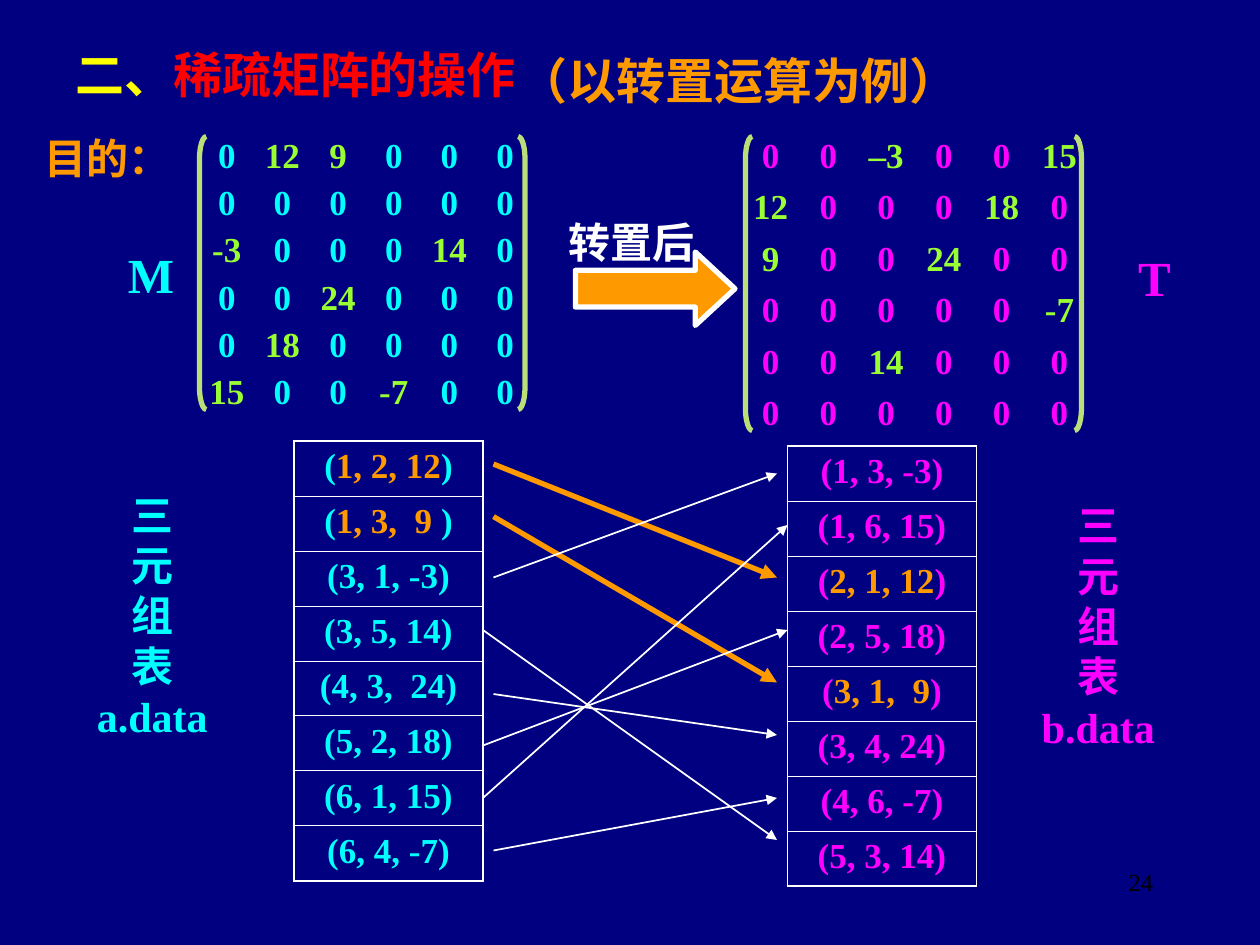
from lxml.etree import SubElement
from pptx import Presentation
from pptx.dml.color import RGBColor
from pptx.enum.shapes import MSO_CONNECTOR as Connector, MSO_SHAPE as Shape
from pptx.enum.text import MSO_ANCHOR as Anchor, PP_ALIGN as Align
from pptx.oxml.ns import qn
from pptx.util import Inches, Pt

COLORS = {
    "navy": "000080", "yellow": "FFFF00", "red": "FF0000", "orange": "FF9900",
    "cyan": "00FFFF", "magenta": "FF00FF", "lime": "99FF33", "moss": "BADE78",
    "white": "FFFFFF", "black": "000000",
}
RGB = {name: RGBColor.from_string(code) for name, code in COLORS.items()}
SERIF, CJK = "Times New Roman", "Noto Sans CJK SC"

prs = Presentation()
prs.slide_width, prs.slide_height = Inches(10), Inches(7.5)
CELL = prs.slide_width / 120  # the slide is a grid of 120 columns by 90 rows


def grid(*counts):
    return [round(count * CELL) for count in counts]


def write(frame, *lines, color="white", size=20, font=SERIF, bold=True,
          align=Align.LEFT, anchor=Anchor.TOP, tabs=()):
    """Fill a text frame; a line is a string or a list of (text, colour) runs."""
    frame.word_wrap = True
    frame.vertical_anchor = anchor
    for number, line in enumerate(lines):
        para = frame.add_paragraph() if number else frame.paragraphs[0]
        para.alignment = align
        if tabs:
            stops = SubElement(para._p.get_or_add_pPr(), qn("a:tabLst"))
            for stop in tabs:
                SubElement(stops, qn("a:tab"), pos=str(stop), algn="ctr")
        for text, run_color in [(line, color)] if isinstance(line, str) else line:
            run = para.add_run()
            run.text = text
            run.font.name, run.font.size, run.font.bold = font, Pt(size), bold
            run.font.color.rgb = RGB[run_color]
            SubElement(run._r.get_or_add_rPr(), qn("a:ea"), typeface=CJK)


slide = prs.slides.add_slide(prs.slide_layouts[6])
slide.background.fill.solid()
slide.background.fill.fore_color.rgb = RGB["navy"]
shapes = slide.shapes

# Matrices: left, right, bottom, first column centre, column step, row step
matrices = [
    ("cyan", 19, 50, 39, 2.6, 5.3, 4.5,
     ["0 12 9 0 0 0", "0 0 0 0 0 0", "-3 0 0 0 14 0",
      "0 0 24 0 0 0", "0 18 0 0 0 0", "15 0 0 -7 0 0"]),
    ("magenta", 71, 103, 41, 2.4, 5.5, 4.9,
     ["0 0 –3 0 0 15", "12 0 0 0 18 0", "9 0 0 24 0 0",
      "0 0 0 0 0 -7", "0 0 14 0 0 0", "0 0 0 0 0 0"]),
]
MATRIX_TOP, BRACKET_WIDTH = 13, 0.65
for color, left, right, bottom, first, col_step, row_step, rows in matrices:
    for kind, x in [(Shape.LEFT_BRACKET, left),
                    (Shape.RIGHT_BRACKET, right - BRACKET_WIDTH)]:
        bracket = shapes.add_shape(
            kind, *grid(x, MATRIX_TOP, BRACKET_WIDTH, bottom - MATRIX_TOP))
        bracket.adjustments[0] = 3.3
        bracket.shadow.inherit = False
        bracket.fill.background()
        bracket.line.color.rgb = RGB["moss"]
        bracket.line.width = Pt(3)
    centres = grid(*(first + col_step * col for col in range(6)))
    for number, row in enumerate(rows):
        entries = shapes.add_textbox(
            *grid(left, MATRIX_TOP + row_step * number, right - left + 2, 3.4)).text_frame
        entries.margin_left = entries.margin_right = 0
        runs = [("\t" + value, color if value == "0" else "lime") for value in row.split()]
        write(entries, runs, anchor=Anchor.MIDDLE, tabs=centres)

# Triple tables: the part between bars is highlighted
tables = [
    ("cyan", 28, 42,
     ["(|1, 2, 12|)", "(|1, 3,  9|\u0020)", "(3, 1, -3)", "(3, 5, 14)",
      "(4, 3,  24)", "(5, 2, 18)", "(6, 1, 15)", "(6, 4, -7)"]),
    ("magenta", 75, 42.5,
     ["(1, 3, -3)", "(1, 6, 15)", "(|2, 1, 12|)", "(2, 5, 18)",
      "(|3, 1,  9|)", "(3, 4, 24)", "(4, 6, -7)", "(5, 3, 14)"]),
]
for color, left, top, triples in tables:
    table = shapes.add_table(len(triples), 1, *grid(left, top, 18, 41.9)).table
    table.first_row = table.horz_banding = False
    for number, triple in enumerate(triples):
        cell = table.cell(number, 0)
        cell.fill.background()
        runs = [(part, "orange" if index == 1 else color)
                for index, part in enumerate(triple.split("|"))]
        write(cell.text_frame, runs, align=Align.CENTER)
        outer = {"L", "R"} | ({"T"} if number == 0 else set())
        if number == len(triples) - 1:
            outer.add("B")
        props = cell._tc.get_or_add_tcPr()
        for index, side in enumerate("LRTB"):
            width = Pt(1.08 if side in outer else 0.45)
            border = props.makeelement(qn(f"a:ln{side}"), {"w": str(width)})
            props.insert(index, border)
            fill = SubElement(border, qn("a:solidFill"))
            SubElement(fill, qn("a:srgbClr"), val=COLORS["white"])

# Links from each triple to its transposed place
links = [
    ("orange", 3, 47, 44.2, 74, 55), ("orange", 3, 47, 49.2, 74, 65),
    ("white", 1, 47, 55, 74, 45.1), ("white", 1, 46, 60, 74, 80),
    ("white", 1, 47, 81, 74, 76), ("white", 1, 47, 66.1, 74, 70),
    ("white", 1, 46, 71, 75, 60), ("white", 1, 46, 76, 75, 50),
]
for color, width, *ends in links:
    link = shapes.add_connector(Connector.STRAIGHT, *grid(*ends))
    link.line.color.rgb = RGB[color]
    link.line.width = Pt(width)
    SubElement(link.line._get_or_add_ln(), qn("a:tailEnd"), type="triangle")
    SubElement(link._element.spPr, qn("a:effectLst"))

transpose_arrow = shapes.add_shape(Shape.RIGHT_ARROW, *grid(54.8, 24, 15.2, 7))
transpose_arrow.adjustments[0], transpose_arrow.adjustments[1] = 0.5, 0.54
transpose_arrow.shadow.inherit = False
transpose_arrow.fill.solid()
transpose_arrow.fill.fore_color.rgb = RGB["orange"]
transpose_arrow.line.color.rgb = RGB["white"]
transpose_arrow.line.width = Pt(3)

# Title and labels
heading = [("二、", "yellow"), ("稀疏矩阵的操作", "red")]
vertical = ["三", "元", "组", "表"]
labels = [
    ((6, 3, 47, 8), [heading], dict(size=28, font=CJK, anchor=Anchor.MIDDLE)),
    ((48.2, 4.2, 46, 6.8), ["（以转置运算为例）"], dict(size=28, font=CJK, color="orange")),
    ((3.1, 12, 16, 6), ["目的："], dict(size=24, font=CJK, color="orange")),
    ((53, 20, 16, 6), ["转置后"], dict(size=24, font=CJK)),
    ((11, 22.7, 8, 6.8), ["M"], dict(size=28, color="cyan")),
    ((107.2, 23, 8, 6.8), ["T"], dict(size=28, color="magenta")),
    ((7, 46, 15, 25.2), vertical + ["a.data"],
     dict(size=24, color="cyan", align=Align.CENTER)),
    ((97, 47, 15.2, 25.2), vertical + ["b.data"],
     dict(size=24, color="magenta", align=Align.CENTER)),
    ((86, 82, 25, 6), ["24"], dict(size=14, color="black", bold=False, align=Align.RIGHT)),
]
for place, lines, style in labels:
    write(shapes.add_textbox(*grid(*place)).text_frame, *lines, **style)

prs.save("out.pptx")
